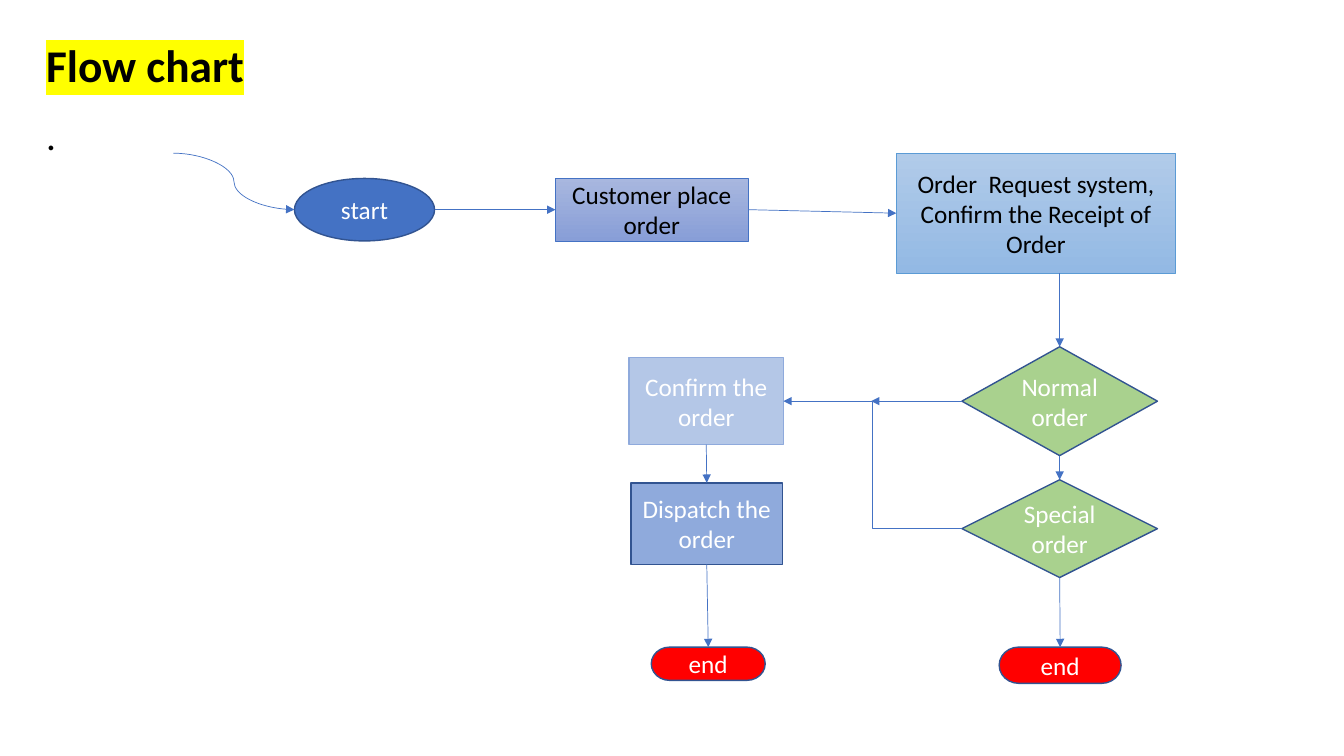
from dataclasses import dataclass
from typing import NamedTuple

from lxml import etree
from pptx import Presentation
from pptx.dml.color import RGBColor
from pptx.enum import shapes, text
from pptx.oxml.ns import qn
from pptx import util as u

SHAPE = shapes.MSO_SHAPE
LINK = shapes.MSO_CONNECTOR


@dataclass(frozen=True)
class Theme:
    font: str = "Calibri"
    title_size: float = 32.4
    body_size: float = 28
    node_size: float = 18
    black: str = "000000"
    white: str = "FFFFFF"
    highlight: str = "FFFF00"
    blue: str = "4472C4"
    outline: str = "325491"
    sky: str = "5B9BD5"
    pale: str = "B4C7E7"
    mid: str = "8FAADC"
    green: str = "A9D18E"
    red: str = "FF0000"
    place_fill: tuple[str, str] = ("A8B7DF", "889ED7")
    request_fill: tuple[str, str] = ("B1CBE9", "93B9E4")
    thin: float = 0.5
    thick: float = 1


T = Theme()


class Point(NamedTuple):
    x: float
    y: float


@dataclass(frozen=True)
class Node:
    label: str
    kind: SHAPE
    left: float
    top: float
    width: float
    height: float
    fill: tuple[str, ...]
    line: str = T.outline
    weight: float = T.thick
    color: str = T.white

    def at(self, fx: float, fy: float) -> Point:
        return Point(self.left + fx * self.width, self.top + fy * self.height)

    @property
    def west(self) -> Point:
        return self.at(0, 0.5)

    @property
    def east(self) -> Point:
        return self.at(1, 0.5)

    @property
    def north(self) -> Point:
        return self.at(0.5, 0)

    @property
    def south(self) -> Point:
        return self.at(0.5, 1)


class Arrow(NamedTuple):
    begin: Point
    end: Point
    kind: LINK = LINK.STRAIGHT


def rgb(value: str) -> RGBColor:
    return RGBColor.from_string(value)


def style_text(tf, size: float, color: str, bold: bool = False, highlight: str = "") -> None:
    for p in tf.paragraphs:
        for r in p.runs:
            r.font.size = u.Pt(size)
            r.font.bold = bold
            r.font.color.rgb = rgb(color)
            if highlight:
                mark = etree.SubElement(r.font._element, qn("a:highlight"))
                etree.SubElement(mark, qn("a:srgbClr"), val=highlight)
            r.font.name = T.font


def add_text(s, label: str, left: float, top: float, width: float, height: float):
    tf = s.shapes.add_textbox(*map(u.Inches, (left, top, width, height))).text_frame
    tf.word_wrap = True
    tf.text = label
    tf.paragraphs[0].line_spacing = 0.9
    return tf


def add_node(s, node: Node) -> None:
    box = map(u.Inches, (node.left, node.top, node.width, node.height))
    sp = s.shapes.add_shape(node.kind, *box)
    sp.shadow.inherit = False
    if len(node.fill) == 1:
        sp.fill.solid()
        sp.fill.fore_color.rgb = rgb(node.fill[0])
    else:
        sp.fill.gradient()
        sp.fill.gradient_angle = 270
        for stop, position, color in zip(sp.fill.gradient_stops, (0, 1), node.fill):
            stop.position = position
            stop.color.rgb = rgb(color)
    sp.line.color.rgb = rgb(node.line)
    sp.line.width = u.Pt(node.weight)
    tf = sp.text_frame
    tf.word_wrap = True
    tf.vertical_anchor = text.MSO_ANCHOR.MIDDLE
    tf.text = node.label
    for p in tf.paragraphs:
        p.alignment = text.PP_ALIGN.CENTER
    style_text(tf, T.node_size, node.color)


def add_arrow(s, arrow: Arrow) -> None:
    ends = map(u.Inches, (*arrow.begin, *arrow.end))
    cx = s.shapes.add_connector(arrow.kind, *ends)
    cx.line.color.rgb = rgb(T.blue)
    cx.line.width = u.Pt(T.thin)
    etree.SubElement(cx.line._get_or_add_ln(), qn("a:tailEnd"), type="triangle")
    etree.SubElement(cx._element.spPr, qn("a:effectLst"))


# Steps of the flow
start = Node("start", SHAPE.OVAL, 2.92, 1.77, 1.39, 0.62, (T.blue,))
place = Node("Customer place order", SHAPE.RECTANGLE, 5.51, 1.77, 1.91, 0.62,
             T.place_fill, T.blue, T.thin, T.black)
request = Node("Order  Request system, Confirm the Receipt of Order", SHAPE.RECTANGLE,
               8.89, 1.52, 2.77, 1.19, T.request_fill, T.sky, T.thin, T.black)
normal = Node("Normal order", SHAPE.FLOWCHART_DECISION, 9.54, 3.44, 1.94, 1.08, (T.green,))
special = Node("Special order", SHAPE.FLOWCHART_DECISION, 9.54, 4.76, 1.94, 0.97, (T.green,))
special_end = Node("end", SHAPE.FLOWCHART_TERMINATOR, 9.91, 6.42, 1.21, 0.36, (T.red,))
confirm = Node("Confirm the\norder", SHAPE.FLOWCHART_PROCESS, 6.24, 3.55, 1.53, 0.86,
               (T.pale,), T.mid)
dispatch = Node("Dispatch the\norder", SHAPE.FLOWCHART_PROCESS, 6.26, 4.79, 1.5, 0.81, (T.mid,))
dispatch_end = Node("end", SHAPE.FLOWCHART_TERMINATOR, 6.46, 6.42, 1.13, 0.33, (T.red,))
NODES = (start, place, request, normal, special, special_end, confirm, dispatch, dispatch_end)

ARROWS = (
    Arrow(place.east, request.west),
    Arrow(start.east, place.west),
    Arrow(Point(1.72, 1.52), start.west, LINK.CURVE),
    Arrow(Point(normal.north.x, request.south.y), normal.north),
    Arrow(normal.south, special.north),
    Arrow(special.south, special_end.north),
    Arrow(special.west, confirm.east, LINK.ELBOW),
    Arrow(normal.west, Point(8.64, normal.west.y)),
    Arrow(confirm.south, dispatch.north),
    Arrow(dispatch.south, dispatch_end.north),
)


def main() -> None:
    prs = Presentation()
    prs.slide_width, prs.slide_height = u.Inches(13.33), u.Inches(7.5)
    s = prs.slides.add_slide(prs.slide_layouts[6])

    # Title and body text
    title = add_text(s, "Flow chart", 0.36, 0.4, 12.06, 0.55)
    title.vertical_anchor = text.MSO_ANCHOR.MIDDLE
    style_text(title, T.title_size, T.black, bold=True, highlight=T.highlight)
    body = add_text(s, ".", 0.36, 1.11, 12.28, 5.99)
    body.paragraphs[0].space_before = u.Pt(10)
    style_text(body, T.body_size, T.black)

    # Flow chart
    for node in NODES:
        add_node(s, node)
    for arrow in ARROWS:
        add_arrow(s, arrow)

    prs.save("out.pptx")


if __name__ == "__main__":
    main()
